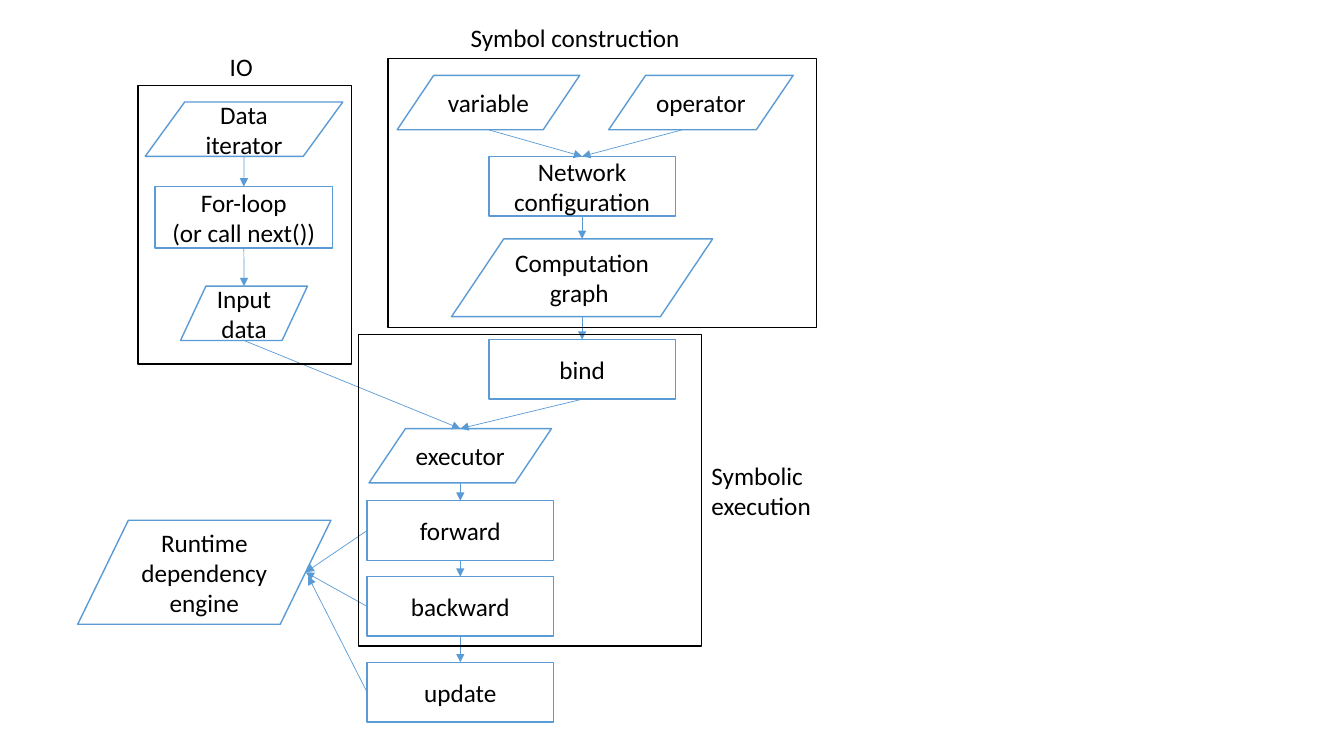
"""Build a flowchart slide of symbol construction, data IO and symbolic execution."""
import pptx
import pptx.util
import pptx.dml.color
import pptx.enum.shapes
import pptx.enum.text
import lxml.etree
from pptx.util import Cm

SHAPES = pptx.enum.shapes.MSO_SHAPE
DATA, PROCESS = SHAPES.FLOWCHART_DATA, SHAPES.FLOWCHART_PROCESS
BLUE, BLACK, WHITE = "5B9BD5", "000000", "FFFFFF"
DRAWING = "http://schemas.openxmlformats.org/drawingml/2006/main"


def paint(part, color, width=None):
    target = part
    if width:
        part.width = pptx.util.Pt(width)
        target = part.fill
    target.solid()
    target.fore_color.rgb = pptx.dml.color.RGBColor.from_string(color)


def write(frame, wording, align):
    frame.text = wording
    frame.word_wrap = True
    for paragraph in frame.paragraphs:
        paragraph.alignment = align
        for run in paragraph.runs:
            run.font.size = pptx.util.Pt(18)
            run.font.name = "Calibri"
            paint(run.font.fill, BLACK)


deck = pptx.Presentation()
deck.slide_width, deck.slide_height = Cm(33.87), Cm(19.05)
slide = deck.slides.add_slide(deck.slide_layouts[6])

steps = {
    "input": ("Input data", DATA, 4.55, 7.21, 3.2, 1.37),
    "variable": ("variable", DATA, 10.01, 1.9, 4.6, 1.37),
    "operator": ("operator", DATA, 15.34, 1.9, 4.65, 1.37),
    "network": ("Network configuration", PROCESS, 12.32, 3.94, 4.7, 1.5),
    "graph": ("Computation\ngraph ", DATA, 11.38, 6.02, 6.58, 1.96),
    "bind": ("bind", PROCESS, 12.32, 8.56, 4.7, 1.5),
    "executor": ("executor", DATA, 9.3, 10.8, 4.6, 1.37),
    "forward": ("forward", PROCESS, 9.25, 12.62, 4.7, 1.5),
    "backward": ("backward", PROCESS, 9.25, 14.53, 4.7, 1.5),
    "update": ("update", PROCESS, 9.25, 16.69, 4.7, 1.5),
    "engine": ("Runtime dependency engine", DATA, 1.96, 13.11, 6.38, 2.62),
    "iterator": ("Data iterator", DATA, 3.66, 2.57, 4.98, 1.37),
    "loop": ("For-loop\n(or call next())", SHAPES.RECTANGLE, 3.91, 4.7, 4.47, 1.55),
}
for wording, outline, *box in steps.values():
    step = slide.shapes.add_shape(outline, *map(Cm, box))
    step.shadow.inherit = False
    paint(step.fill, WHITE)
    paint(step.line, BLUE, 1)
    step.text_frame.vertical_anchor = pptx.enum.text.MSO_ANCHOR.MIDDLE
    write(step.text_frame, wording, pptx.enum.text.PP_ALIGN.CENTER)

TOP, BOTTOM, LEFT = (0.5, 0), (0.5, 1), (0, 0.5)
SLANTED_SIDE = (0.9, 0.5)
flows = [
    ("variable", BOTTOM, "network", TOP),
    ("operator", (0.4, 1), "network", TOP),
    ("network", BOTTOM, "graph", TOP),
    ("graph", BOTTOM, "bind", TOP),
    ("bind", BOTTOM, "executor", TOP),
    ("executor", BOTTOM, "forward", TOP),
    ("forward", BOTTOM, "backward", TOP),
    ("backward", BOTTOM, "update", TOP),
    ("iterator", BOTTOM, "loop", TOP),
    ("loop", BOTTOM, "input", TOP),
    ("input", BOTTOM, "executor", TOP),
    ("forward", LEFT, "engine", SLANTED_SIDE),
    ("backward", LEFT, "engine", SLANTED_SIDE),
    ("update", LEFT, "engine", (0.91, 0.54)),
]
for source, exit_side, target, entry_side in flows:
    ends = []
    for name, (across, down) in ((source, exit_side), (target, entry_side)):
        left, top, width, height = steps[name][2:]
        ends += [Cm(left + across * width), Cm(top + down * height)]
    flow = slide.shapes.add_connector(pptx.enum.shapes.MSO_CONNECTOR.STRAIGHT, *ends)
    paint(flow.line, BLUE, 0.5)
    outline = flow.line._get_or_add_ln()
    lxml.etree.SubElement(outline, f"{{{DRAWING}}}tailEnd", type="triangle")
    lxml.etree.SubElement(outline.getparent(), f"{{{DRAWING}}}effectLst")

stages = [
    ("IO", (3.48, 2.16, 7.01), (5.54, 1.17, 2.39, 1.02)),
    ("Symbol construction", (9.78, 1.47, 6.78), (11.61, 0.43, 5.84, 1.02)),
    ("Symbolic execution", (9.04, 8.43, 7.85), (17.68, 11.48, 5.26, 1.8)),
]
stage_widths = [5.38, 10.8, 8.64]
for (title, (left, top, height), title_box), width in zip(stages, stage_widths):
    stage = slide.shapes.add_shape(SHAPES.RECTANGLE, Cm(left), Cm(top), Cm(width), Cm(height))
    stage.shadow.inherit = False
    stage.fill.background()
    paint(stage.line, BLACK, 1)
    caption = slide.shapes.add_textbox(*map(Cm, title_box))
    write(caption.text_frame, title, pptx.enum.text.PP_ALIGN.LEFT)

deck.save("out.pptx")
